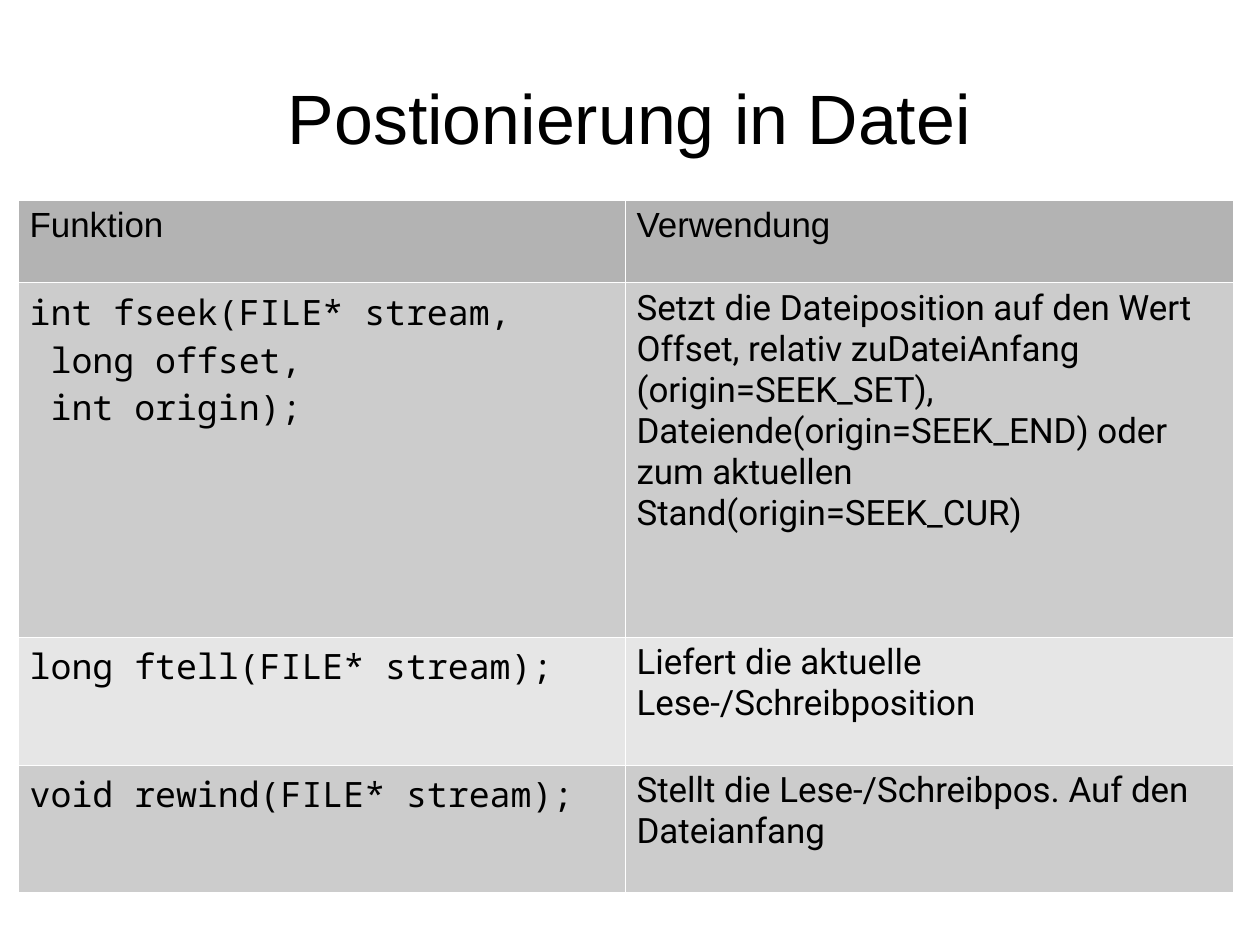
import pptx
import pptx.dml.color
import pptx.enum.text
import pptx.oxml.ns
import pptx.util
from lxml import etree

Inches = pptx.util.Inches
Pt = pptx.util.Pt

# The page measures 28 by 21 centimetres
CM_PER_INCH = 2.54
PAGE_WIDTH = Inches(28 / CM_PER_INCH)
PAGE_HEIGHT = Inches(21 / CM_PER_INCH)

COLOURS = {
    "text": "000000",
    "border": "FFFFFF",
    "header": "B3B3B3",
    "dark_row": "CCCCCC",
    "light_row": "E6E6E6",
}
TITLE_FONT = {"name": "Arial", "size": Pt(44), "bold": False}
HEADER_FONT = {"name": "Arial", "size": Pt(22), "bold": False}
CODE_FONT = {"name": "Noto Sans Mono", "size": Pt(22), "bold": False}
USAGE_FONT = {"name": "Roboto", "size": Pt(22), "bold": False}

COLUMN_WIDTHS = [5.31, 5.32]
ROW_HEIGHTS = [0.72, 3.1, 1.12, 1.12]
FUNCTIONS = [
    ("Funktion", "Verwendung"),
    ("int fseek(FILE* stream,\n long offset,\n int origin);",
     "Setzt die Dateiposition auf den Wert Offset, relativ zuDateiAnfang "
     "(origin=SEEK_SET), Dateiende(origin=SEEK_END) oder zum aktuellen "
     "Stand(origin=SEEK_CUR)"),
    ("long ftell(FILE* stream);",
     "Liefert die aktuelle Lese-/Schreibposition"),
    ("void rewind(FILE* stream);",
     "Stellt die Lese-/Schreibpos. Auf den Dateianfang"),
]


def colour(name):
    return pptx.dml.color.RGBColor.from_string(COLOURS[name])


def set_attributes(target, values):
    for name, value in values.items():
        setattr(target, name, value)


def write_text(frame, text, font):
    frame.text = text
    for para in frame.paragraphs:
        for span in para.runs:
            set_attributes(span.font, font)
            span.font.color.rgb = colour("text")


def add_title(page, text):
    box = page.shapes.add_textbox(
        Inches(0.55), Inches(0.33), Inches(9.92), Inches(1.38))
    frame = box.text_frame
    set_attributes(frame, {
        "word_wrap": True,
        "vertical_anchor": pptx.enum.text.MSO_ANCHOR.MIDDLE,
        "margin_left": 0, "margin_right": 0,
        "margin_top": 0, "margin_bottom": 0,
    })
    write_text(frame, text, TITLE_FONT)
    frame.paragraphs[0].alignment = pptx.enum.text.PP_ALIGN.CENTER


def add_borders(cell):
    qn = pptx.oxml.ns.qn
    properties = cell._tc.get_or_add_tcPr()
    for side in ("lnL", "lnR", "lnT", "lnB"):
        line = etree.SubElement(properties, qn(f"a:{side}"), w=str(Pt(0.06)))
        fill = etree.SubElement(line, qn("a:solidFill"))
        etree.SubElement(fill, qn("a:srgbClr"), val=COLOURS["border"])


def fill_cell(cell, text, font, fill):
    set_attributes(cell, {
        "margin_left": Inches(0.1), "margin_right": Inches(0.1),
        "margin_top": Inches(0.05), "margin_bottom": Inches(0.05),
    })
    write_text(cell.text_frame, text, font)
    add_borders(cell)
    cell.fill.solid()
    cell.fill.fore_color.rgb = colour(fill)


def add_function_table(page):
    table = page.shapes.add_table(
        len(ROW_HEIGHTS), len(COLUMN_WIDTHS), Inches(0.16), Inches(1.75),
        Inches(sum(COLUMN_WIDTHS)), Inches(sum(ROW_HEIGHTS))).table
    set_attributes(table, {"first_row": False, "horz_banding": False})
    for column, width in zip(table.columns, COLUMN_WIDTHS):
        column.width = Inches(width)
    for row, height in zip(table.rows, ROW_HEIGHTS):
        row.height = Inches(height)

    # Header first, then alternating dark and light rows
    for index, texts in enumerate(FUNCTIONS):
        if index == 0:
            fill, fonts = "header", (HEADER_FONT, HEADER_FONT)
        else:
            fill = "dark_row" if index % 2 else "light_row"
            fonts = (CODE_FONT, USAGE_FONT)
        for cell, text, font in zip(table.rows[index].cells, texts, fonts):
            fill_cell(cell, text, font, fill)


def main():
    deck = pptx.Presentation()
    deck.slide_width = PAGE_WIDTH
    deck.slide_height = PAGE_HEIGHT
    page = deck.slides.add_slide(deck.slide_layouts[6])

    add_title(page, "Postionierung in Datei")
    add_function_table(page)
    deck.save("out.pptx")


if __name__ == "__main__":
    main()
